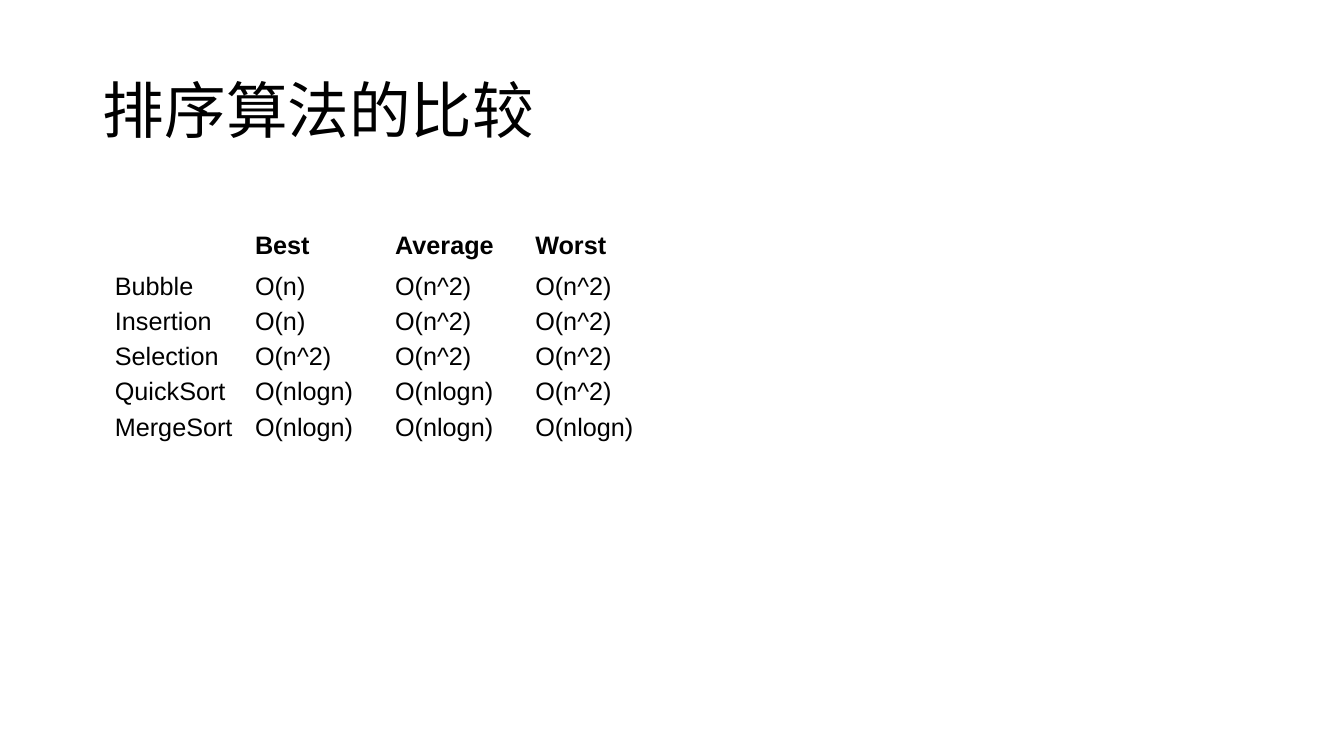
"""Build a slide that compares the running times of sorting algorithms."""
import dataclasses
import pptx
import pptx.dml.color
import pptx.enum.text
import pptx.util

Inches = pptx.util.Inches


@dataclasses.dataclass
class Theme:
    head: str = "Calibri"
    body: str = "Arial"
    ink: str = "000000"
    paper: str = "FFFFFF"
    large: int = 44
    small: int = 18


class Deck:
    def __init__(self, theme):
        self.theme = theme
        self.show = pptx.Presentation()
        self.show.slide_width = Inches(13.33)
        self.show.slide_height = Inches(7.5)
        self.slide = self.show.slides.add_slide(self.show.slide_layouts[5])
        fill = self.slide.background.fill
        fill.solid()
        fill.fore_color.rgb = pptx.dml.color.RGBColor.from_string(theme.paper)

    def style(self, font, name, size, bold=False):
        font.name = name
        font.size = pptx.util.Pt(size)
        font.bold = bold
        font.color.rgb = pptx.dml.color.RGBColor.from_string(self.theme.ink)

    def title(self, text, left, top, width, height):
        shape = self.slide.shapes.title
        shape.left, shape.top = Inches(left), Inches(top)
        shape.width, shape.height = Inches(width), Inches(height)
        frame = shape.text_frame
        frame.text = text
        frame.vertical_anchor = pptx.enum.text.MSO_ANCHOR.MIDDLE
        line = frame.paragraphs[0]
        line.alignment = pptx.enum.text.PP_ALIGN.LEFT
        line.line_spacing = 0.9
        self.style(line.runs[0].font, self.theme.head, self.theme.large)

    def table(self, rows, left, top, width, first, rest):
        height = first + rest * (len(rows) - 1)
        grid = self.slide.shapes.add_table(
            len(rows), len(rows[0]), Inches(left), Inches(top),
            Inches(width), Inches(height)).table
        grid.first_row = grid.horz_banding = False
        for r, row in enumerate(rows):
            grid.rows[r].height = Inches(rest if r else first)
            for c, text in enumerate(row):
                self.cell(grid.cell(r, c), text, r == 0)

    def cell(self, cell, text, bold):
        cell.fill.background()
        cell.margin_left = cell.margin_right = Inches(0.03)
        cell.margin_top = cell.margin_bottom = Inches(0.03)
        line = cell.text_frame.paragraphs[0]
        line.text = text
        for font in [line.font] + [run.font for run in line.runs]:
            self.style(font, self.theme.body, self.theme.small, bold)


def main():
    deck = Deck(Theme())
    deck.title("排序算法的比较", 0.92, 0.4, 11.5, 1.45)
    rows = [
        ("", "Best", "Average", "Worst"),
        ("Bubble", "O(n)", "O(n^2)", "O(n^2)"),
        ("Insertion", "O(n)", "O(n^2)", "O(n^2)"),
        ("Selection", "O(n^2)", "O(n^2)", "O(n^2)"),
        ("QuickSort", "O(nlogn)", "O(nlogn)", "O(n^2)"),
        ("MergeSort", "O(nlogn)", "O(nlogn)", "O(nlogn)"),
    ]
    deck.table(rows, 1.11, 2.27, 5.56, 0.4, 0.35)
    deck.show.save("out.pptx")


if __name__ == "__main__":
    main()
